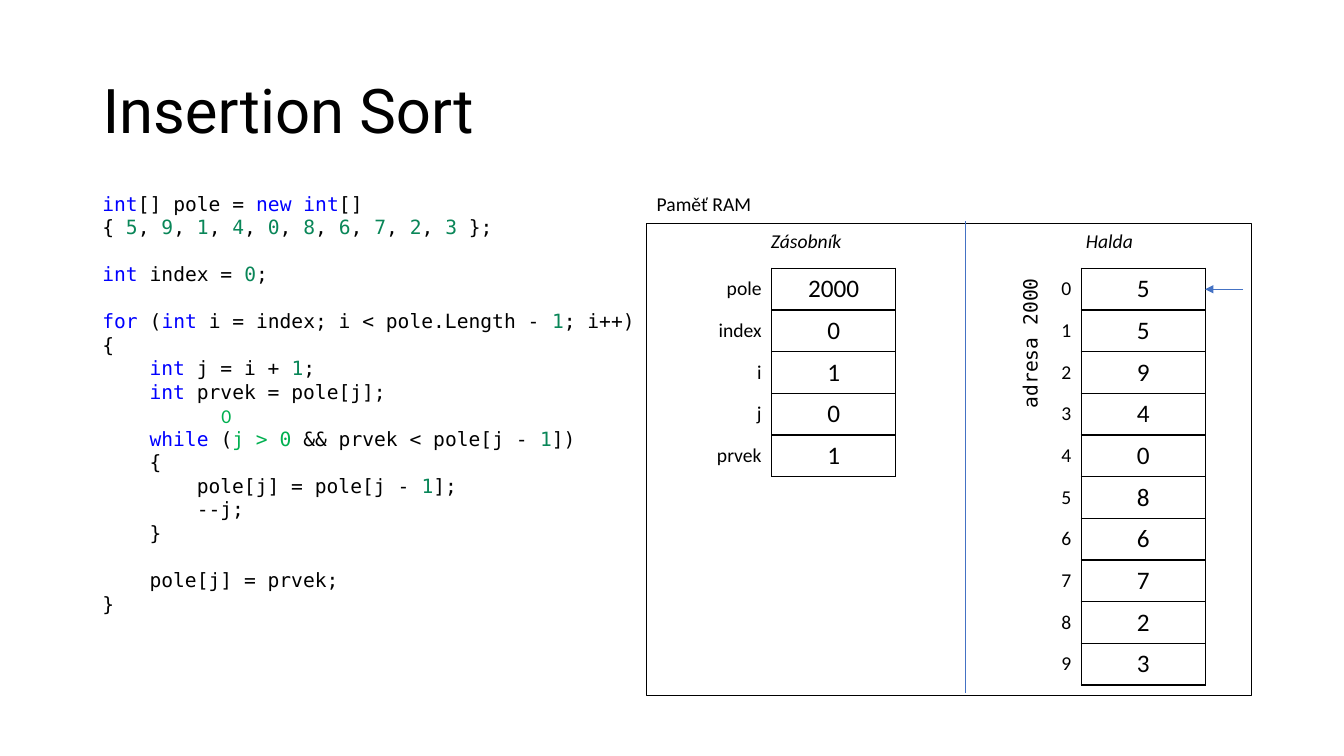
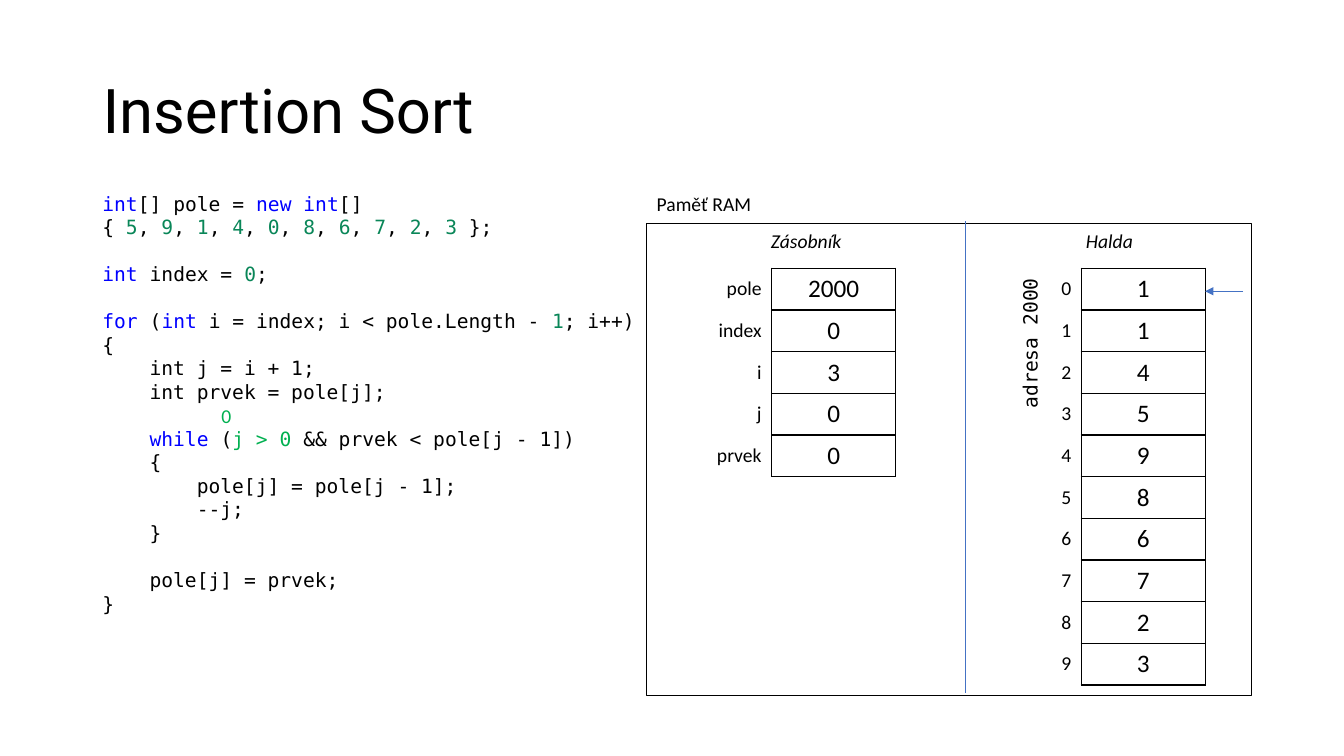
from lxml import etree
from pptx import Presentation
from pptx.dml.color import RGBColor
from pptx.enum import shapes, text
from pptx.oxml import ns
from pptx.util import Cm, Pt

COLORS = {
    "ink": "000000",
    "paper": "FFFFFF",
    "rule": "4472C4",
    "keyword": "0000FF",
    "number": "098658",
    "true": "00B050",
}
TITLE_FONT, BODY_FONT, CODE_FONT = "Roboto", "Calibri", "DejaVu Sans Mono"
LABEL_SIZE, VALUE_SIZE = 14, 18
LINE_HEIGHT = 16.8
INDENT = 1.19
CAPTION_HEIGHT = 0.86
ROW_HEIGHT, VALUE_WIDTH = 1.05, 3.12

TITLE_BOX = (2.33, 1.01, 29.21, 3.68)
CODE_BOX = (2.33, 4.7, 13.97, 11.02)
MEMORY_BOX = (16.3, 5.64, 15.24, 11.89)

# Coloured stretches stand between backticks and start with a token letter.
# Capital letters mark the loop body, which only some steps highlight.
TOKENS = {"k": "keyword", "n": "number", "t": "true"}
# Each line: blank lines above, indent level, marked code.
CODE = [
    (0, 0, "`kint`[] pole = `knew int`[]"),
    (0, 0, "{ " + ", ".join(f"`n{value}`" for value in "5914086723") + " };"),
    (1, 0, "`kint` index = `n0`;"),
    (1, 0, "`kfor` (`kint` i = index; i < pole.Length - `n1`; i++)"),
    (0, 0, "{"),
    (0, 1, "`Kint` j = i + `N1`;"),
    (0, 1, "`Kint` prvek = pole[j];"),
    (1, 1, "`kwhile` (`tj > 0` && prvek < pole[j - `N1`])"),
    (0, 1, "{"),
    (0, 2, "pole[j] = pole[j - `N1`];"),
    (0, 2, "--j;"),
    (0, 1, "}"),
    (1, 1, "pole[j] = prvek;"),
    (0, 0, "}"),
]

VARIABLES = ["pole", "index", "i", "j", "prvek"]
STEPS = [
    {"stack": [2000, 0, 1, 0, 1], "heap": [5, 5, 9, 4, 0, 8, 6, 7, 2, 3],
     "body_highlighted": True, "pointer_y": 0.53},
    {"stack": [2000, 0, 3, 0, 0], "heap": [1, 1, 4, 5, 9, 8, 6, 7, 2, 3],
     "body_highlighted": False, "pointer_y": 0.58},
]


def rgb(color):
    return RGBColor.from_string(COLORS[color])


def add_run(paragraph, words, size=LABEL_SIZE, font=BODY_FONT, color="ink", italic=None):
    run = paragraph.add_run()
    run.text = words
    run.font.size = Pt(size)
    run.font.name = font
    run.font.italic = italic
    run.font.color.rgb = rgb(color)


def add_text_frame(slide, left, top, width, height):
    box = slide.shapes.add_textbox(Cm(left), Cm(top), Cm(width), Cm(height))
    box.text_frame.word_wrap = True
    return box


def add_caption(slide, words, left, top, width, align=text.PP_ALIGN.LEFT, **style):
    caption = add_text_frame(slide, left, top, width, CAPTION_HEIGHT)
    paragraph = caption.text_frame.paragraphs[0]
    paragraph.alignment = align
    add_run(paragraph, words, **style)
    return caption


def add_rule(slide, start, end, arrow=False):
    rule = slide.shapes.add_connector(
        shapes.MSO_CONNECTOR.STRAIGHT, *(Cm(value) for value in (*start, *end)))
    rule.line.color.rgb = rgb("rule")
    rule.line.width = Pt(0.5)
    properties = rule._element.spPr
    if arrow:
        outline = properties.find(ns.qn("a:ln"))
        etree.SubElement(outline, ns.qn("a:tailEnd"), type="triangle")
    etree.SubElement(properties, ns.qn("a:effectLst"))


def set_borders(cell, sides):
    """Draw the given sides (letters of LRTB) and clear the others."""
    properties = cell._tc.get_or_add_tcPr()
    for side in "LRTB":
        border = etree.SubElement(properties, ns.qn(f"a:ln{side}"), w=str(Pt(1)))
        if side in sides:
            fill = etree.SubElement(border, ns.qn("a:solidFill"))
            etree.SubElement(fill, ns.qn("a:srgbClr"), val=COLORS["ink"])
        else:
            etree.SubElement(border, ns.qn("a:noFill"))


def add_cells(slide, labels, values, left, top, label_width):
    """Table of memory cells: a label on the left, a framed value on the right."""
    frame = slide.shapes.add_table(
        len(labels), 2, Cm(left), Cm(top),
        Cm(label_width + VALUE_WIDTH), Cm(ROW_HEIGHT * len(labels)))
    table = frame.table
    table.first_row = table.horz_banding = False
    for column, width in zip(table.columns, (label_width, VALUE_WIDTH)):
        column.width = Cm(width)
    columns = [
        (labels, LABEL_SIZE, text.PP_ALIGN.RIGHT, "R"),
        (values, VALUE_SIZE, text.PP_ALIGN.CENTER, "LRTB"),
    ]
    for row in table.rows:
        row.height = Cm(ROW_HEIGHT)
    for column_index, (entries, size, align, sides) in enumerate(columns):
        for row_index, entry in enumerate(entries):
            cell = table.cell(row_index, column_index)
            set_borders(cell, sides)
            cell.fill.background()
            cell.vertical_anchor = text.MSO_ANCHOR.MIDDLE
            paragraph = cell.text_frame.paragraphs[0]
            paragraph.alignment = align
            add_run(paragraph, str(entry), size)


def add_title(slide, words):
    title = slide.shapes.title
    title.left, title.top, title.width, title.height = map(Cm, TITLE_BOX)
    title.text_frame.vertical_anchor = text.MSO_ANCHOR.MIDDLE
    paragraph = title.text_frame.paragraphs[0]
    paragraph.alignment = text.PP_ALIGN.LEFT
    paragraph.line_spacing = 0.9
    add_run(paragraph, words, 44, TITLE_FONT)


def add_code(slide, box, body_highlighted):
    left, top, width, height = box
    frame = add_text_frame(slide, left, top, width, height).text_frame
    for number, (blank_lines, level, line) in enumerate(CODE):
        paragraph = frame.add_paragraph() if number else frame.paragraphs[0]
        paragraph.space_before = Pt(LINE_HEIGHT * blank_lines)
        paragraph._p.get_or_add_pPr().set("marL", str(Cm(INDENT * level)))
        for position, part in enumerate(line.split("`")):
            color = "ink"
            if position % 2:
                token, part = part[0], part[1:]
                if token.islower() or body_highlighted:
                    color = TOKENS[token.lower()]
            if part:
                add_run(paragraph, part, font=CODE_FONT, color=color)
    add_caption(slide, "0", left + 3, top + 5.36, 1.07, color="true")


def add_memory(slide, box, stack, heap, pointer_y):
    left, top, width, height = box
    panel = slide.shapes.add_shape(
        shapes.MSO_SHAPE.RECTANGLE, *(Cm(value) for value in box))
    panel.shadow.inherit = False
    panel.fill.solid()
    panel.fill.fore_color.rgb = rgb("paper")
    panel.line.color.rgb = rgb("ink")
    panel.line.width = Pt(1)

    divider = 8.03
    center = text.PP_ALIGN.CENTER
    add_caption(slide, "Paměť RAM", left, top - 0.94, width)
    add_rule(slide, (left + divider, top + height - 0.08), (left + divider, top - 0.08))
    add_caption(slide, "Zásobník", left, top, divider, center, italic=True)
    add_caption(slide, "Halda", left + divider + 0.05, top, width - divider - 0.05,
                center, italic=True)
    address = add_caption(slide, "adresa 2000", left + 6.36, top + 3.99, 6.6,
                          text.PP_ALIGN.RIGHT, font=CODE_FONT)
    address.rotation = 270

    cells_top = top + 1.12
    heap_left, index_width = left + 10.14, 0.81
    add_cells(slide, range(len(heap)), heap, heap_left, cells_top, index_width)
    add_cells(slide, VARIABLES, stack, left + 0.64, cells_top, 2.51)
    heap_right = heap_left + index_width + VALUE_WIDTH
    pointer_top = cells_top + pointer_y
    add_rule(slide, (heap_right + 0.96, pointer_top), (heap_right, pointer_top), arrow=True)


def add_step(deck, step):
    slide = deck.slides.add_slide(deck.slide_layouts.get_by_name("Title Only"))
    add_title(slide, "Insertion Sort")
    add_memory(slide, MEMORY_BOX, step["stack"], step["heap"], step["pointer_y"])
    add_code(slide, CODE_BOX, step["body_highlighted"])


def main():
    deck = Presentation()
    deck.slide_width, deck.slide_height = Cm(33.87), Cm(19.05)
    for step in STEPS:
        add_step(deck, step)
    deck.save("out.pptx")


if __name__ == "__main__":
    main()
